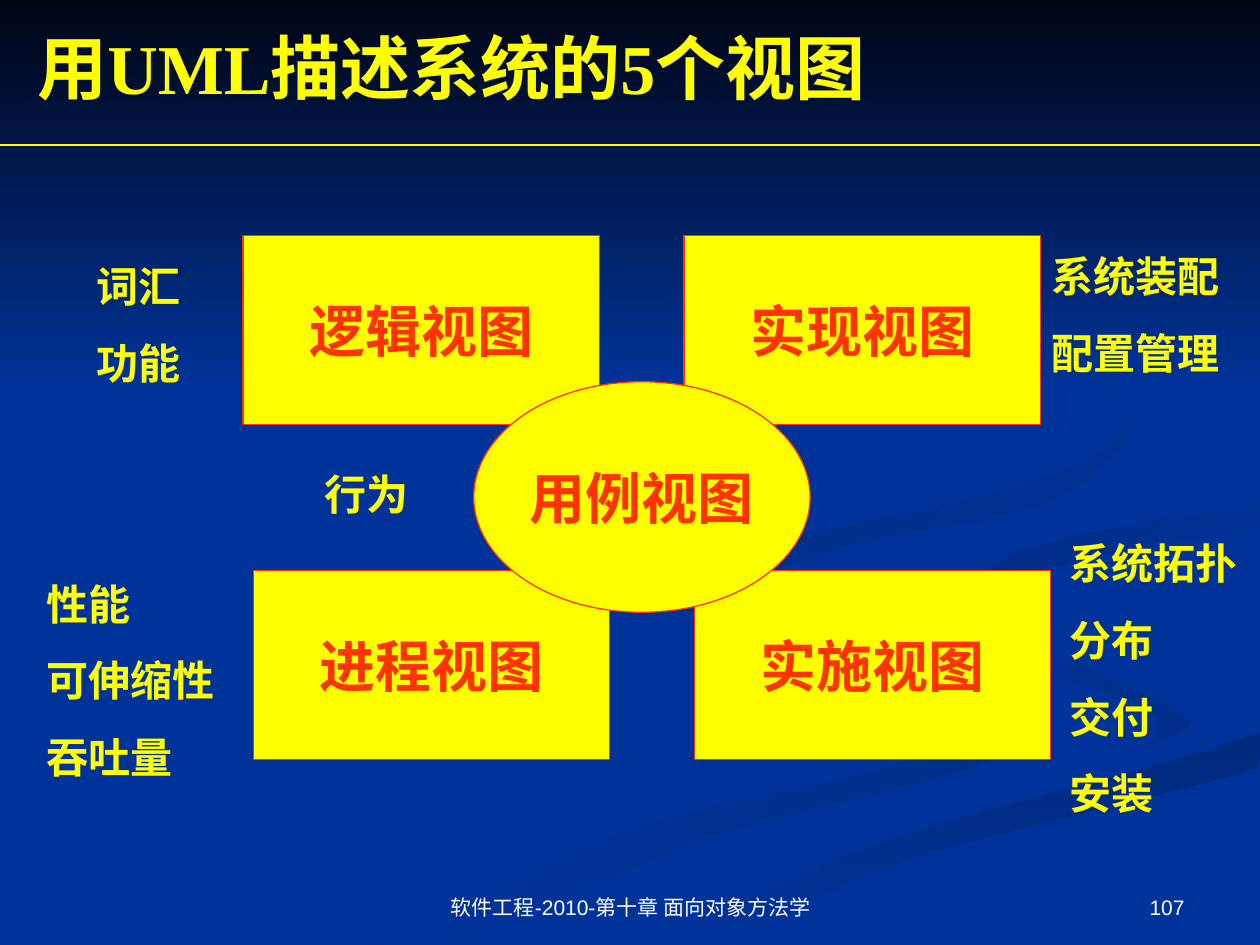
"""Build the slide on the five UML views of a system."""
from pptx import Presentation
from pptx.dml.color import RGBColor
from pptx.enum.shapes import MSO_CONNECTOR, MSO_SHAPE
from pptx.enum.text import MSO_ANCHOR, PP_ALIGN
from pptx.util import Cm, Pt
from lxml import etree

RECT, OVAL = MSO_SHAPE.RECTANGLE, MSO_SHAPE.OVAL
STRAIGHT = MSO_CONNECTOR.STRAIGHT
TOP, MIDDLE, BOTTOM = MSO_ANCHOR.TOP, MSO_ANCHOR.MIDDLE, MSO_ANCHOR.BOTTOM
LEFT, CENTER, RIGHT = PP_ALIGN.LEFT, PP_ALIGN.CENTER, PP_ALIGN.RIGHT
A_NS = "http://schemas.openxmlformats.org/drawingml/2006/main"
SERIF, SANS = "Times New Roman", "Arial"
BLUE, NAVY, YELLOW, RED, WHITE = "003399", "000514", "FFFF00", "FF3300", "FFFFFF"
WIDTH, HEIGHT = 10, 7.5
CURVE_STEPS = 5

TITLE = "用UML描述系统的5个视图"
FOOTER = "软件工程-2010-第十章 面向对象方法学"
PAGE = "107"
VIEW_ROWS = [
    (1.93, 1.87, ["逻辑视图", "实现视图"]),
    (2.01, 4.53, ["进程视图", "实施视图"]),
]
VIEW_W, VIEW_H, VIEW_STEP = 2.83, 1.5, 3.5
CORE_VIEW = ("用例视图", (3.76, 3.03, 2.67, 1.83))
CONCERNS = [
    ((0.67, 2.02, 0.92, 1.11), ["词汇", "功能"]),
    ((2.48, 3.67, 0.92, 0.5), ["行为"]),
    ((0.27, 4.54, 1.58, 1.72), ["性能", "可伸缩性", "吞吐量"]),
    ((8.25, 1.94, 1.75, 1.11), ["系统装配", "配置管理"]),
    ((8.39, 4.22, 1.81, 2.33), ["系统拓扑", "分布", "交付", "安装"]),
]
RIBBONS = [
    ("002E8A", BLUE, 180, [
        (7.8, 5.5), (7.85, 5.7), (7, 6.1), (5, 6.6), (3, 7.5),
        (3.6, 7.5), (5.6, 6.65), (7.7, 6.1), (8, 5.8)]),
    ("002E8A", BLUE, 225, [
        (9.43, 5.7), (8.5, 5.24), (7.24, 4.64), (7.8, 5.18),
        (9, 5.57), (9.18, 5.8), (8.94, 6.05), (9.32, 5.9)]),
    ("00297C", BLUE, 90, [
        (5.03, 7.5), (5.7, 7.5), (7.2, 6.82), (9.98, 6.09),
        (9.98, 5.81), (7.64, 6.47), (6.3, 6.93)]),
    (BLUE, BLUE, 0, [
        (7.25, 4.64), (7.9, 5.09), (9.05, 5.4), (9.4, 5.8), (7.43, 6.43),
        (4.77, 7.5), (5.2, 7.47), (7, 6.68), (10, 5.81), (10, 5.38),
        (8.2, 4.92), (8.1, 4.37), (10, 4.02), (10, 3.87), (7.9, 4.22)]),
    (BLUE, "002C85", 225, [
        (7.81, 4.6), (8.26, 4.96), (8.05, 4.74), (8.6, 4.43),
        (9.98, 4.2), (9.98, 4.02), (8.35, 4.3)]),
    (BLUE, "002B81", 225, [
        (6.83, 4.3), (8.25, 4.02), (8.94, 3.44), (8.6, 2.9), (7.62, 2.33),
        (8.7, 3), (8.8, 3.55), (7.6, 3.98), (6.1, 4.32), (5.8, 4.7),
        (6.22, 5), (5.95, 4.65)]),
]


def dist(inches):
    return Cm(inches * 2.54)


def rgb(value):
    return RGBColor.from_string(value)


def blend(a, b, c, d, t):
    return b + t * (c - a + t * (2 * a - 5 * b + 4 * c - d + t * (3 * (b - c) + d - a))) / 2


def smooth_outline(points):
    outline = []
    for i in range(len(points)):
        group = [points[(i + k) % len(points)] for k in range(-1, 3)]
        xs, ys = zip(*group)
        for step in range(CURVE_STEPS):
            t = step / CURVE_STEPS
            x = min(blend(*xs, t), WIDTH)
            y = min(blend(*ys, t), HEIGHT)
            outline.append((dist(x), dist(y)))
    return outline


def set_gradient(sp, start, end, angle):
    sp.shadow.inherit = False
    sp.line.fill.background()
    sp.fill.gradient()
    sp.fill.gradient_angle = (360 - angle) % 360
    for stop, color in zip(sp.fill.gradient_stops, (start, end)):
        stop.color.rgb = rgb(color)


def add_ribbon(s, start, end, angle, points):
    outline = smooth_outline(points)
    builder = s.shapes.build_freeform(*outline[0])
    builder.add_line_segments(outline[1:], close=True)
    set_gradient(builder.convert_to_shape(), start, end, angle)


def set_text(sp, lines, size, color, align=LEFT, anchor=TOP, font=SERIF, gap=0):
    tf = sp.text_frame
    tf.word_wrap = True
    tf.vertical_anchor = anchor
    for i, line in enumerate(lines):
        p = tf.add_paragraph() if i else tf.paragraphs[0]
        p.text = line
        p.alignment = align
        if i:
            p.space_before = Pt(gap)
        p.font.name = font
        p.font.size = Pt(size)
        p.font.bold = font == SERIF
        p.font.color.rgb = rgb(color)


def add_text(s, box, lines, *style, **options):
    set_text(s.shapes.add_textbox(*map(dist, box)), lines, *style, **options)


def add_view(s, kind, box, name):
    sp = s.shapes.add_shape(kind, *map(dist, box))
    sp.shadow.inherit = False
    sp.fill.solid()
    sp.fill.fore_color.rgb = rgb(YELLOW)
    sp.line.color.rgb = rgb(RED)
    sp.line.width = Pt(0.75)
    set_text(sp, [name], 32, RED, CENTER, MIDDLE)
    sp.text_frame.word_wrap = kind == RECT


def add_rule(s, y):
    line = s.shapes.add_connector(STRAIGHT, 0, dist(y), dist(WIDTH), dist(y))
    line.line.color.rgb = rgb(YELLOW)
    line.line.width = Pt(0.75)
    etree.SubElement(line._element.spPr, f"{{{A_NS}}}effectLst")


def main():
    prs = Presentation()
    prs.slide_width, prs.slide_height = dist(WIDTH), dist(HEIGHT)
    s = prs.slides.add_slide(prs.slide_layouts[6])
    s.background.fill.solid()
    s.background.fill.fore_color.rgb = rgb(BLUE)
    for ribbon in RIBBONS:
        add_ribbon(s, *ribbon)
    sky = s.shapes.add_shape(RECT, 0, 0, dist(WIDTH), dist(3.08))
    set_gradient(sky, NAVY, BLUE, 90)
    add_text(s, (0.2, 0.14, 9, 0.77), [TITLE], 40, YELLOW, anchor=MIDDLE)
    add_rule(s, 1.15)
    for x, y, names in VIEW_ROWS:
        for i, name in enumerate(names):
            add_view(s, RECT, (x + i * VIEW_STEP, y, VIEW_W, VIEW_H), name)
    name, box = CORE_VIEW
    add_view(s, OVAL, box, name)
    for box, lines in CONCERNS:
        add_text(s, box, lines, 24, YELLOW, gap=15)
    for x, w, text, align in [(3.42, 3.17, FOOTER, CENTER), (7.17, 2.33, PAGE, RIGHT)]:
        add_text(s, (x, 6.83, w, 0.52), [text], 12, WHITE, align, BOTTOM, SANS)
    prs.save("out.pptx")


if __name__ == "__main__":
    main()
